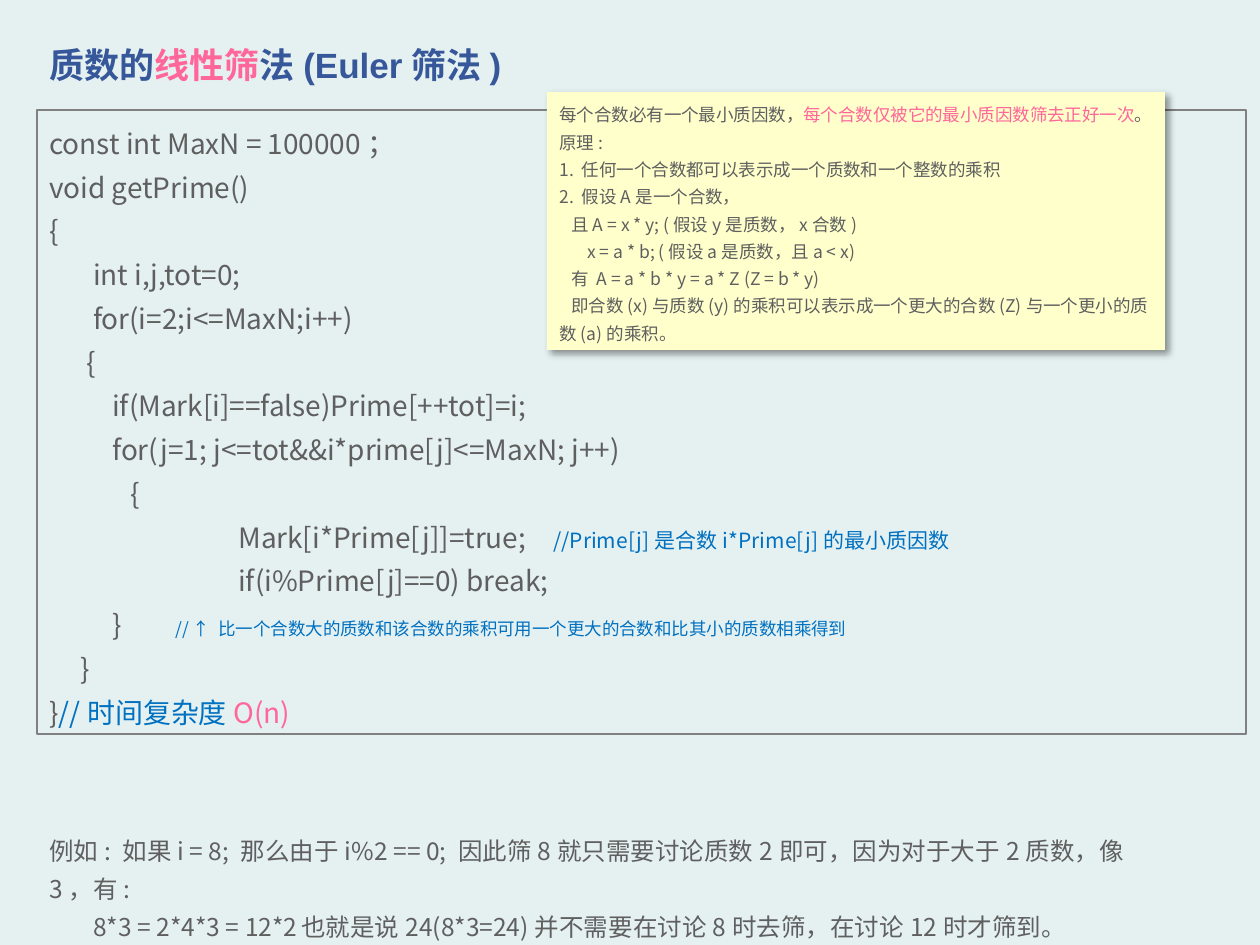
from lxml.etree import SubElement
from pptx import Presentation
from pptx.dml.color import RGBColor
from pptx.enum.shapes import MSO_SHAPE as Shape
from pptx.enum.text import MSO_ANCHOR as Anchor, PP_ALIGN as Align
from pptx.oxml.ns import qn
from pptx.util import Pt

EMU_PER_PX = 914400 / 126
NAVY, PINK, GRAY, BLUE = "365799", "FF6699", "5F5F5F", "0070C0"
CJK = "Noto Sans CJK SC"


def px(length):
    return round(length * EMU_PER_PX)


def color(value):
    return RGBColor.from_string(value)


class SlideBuilder:
    def __init__(self, presentation, background):
        self.slide = presentation.slides.add_slide(presentation.slide_layouts[6])
        self.slide.background.fill.solid()
        self.slide.background.fill.fore_color.rgb = color(background)

    def fill_text(self, shape, paragraphs, size, tint=GRAY, font=CJK, bold=False, tabs=()):
        frame = shape.text_frame
        for name, value in {"word_wrap": True, "vertical_anchor": Anchor.TOP}.items():
            setattr(frame, name, value)
        line_format = {"alignment": Align.LEFT, "line_spacing": Pt(round(size * 1.56, 1))}
        for number, (indent, runs) in enumerate(paragraphs):
            paragraph = frame.paragraphs[0] if number == 0 else frame.add_paragraph()
            properties = paragraph._p.get_or_add_pPr()
            properties.set("indent", str(px(indent)))
            if tabs:
                stops = SubElement(properties, qn("a:tabLst"))
                for position in tabs:
                    SubElement(stops, qn("a:tab"), pos=str(px(position)), algn="l")
            for name, value in line_format.items():
                setattr(paragraph, name, value)
            for text, *style in runs:
                run = paragraph.add_run()
                run.text = text
                run_tint, run_size = style + [tint, size][len(style):]
                run.font.color.rgb = color(run_tint)
                for name, value in {"name": font, "size": Pt(run_size), "bold": bold}.items():
                    setattr(run.font, name, value)
                SubElement(run.font._element, qn("a:ea"), typeface=CJK)

    def text(self, box, paragraphs, size, **style):
        shape = self.slide.shapes.add_textbox(*map(px, box))
        self.fill_text(shape, paragraphs, size, **style)

    def panel(self, box, paragraphs, size, fill=None, line=None, shadow=False, **style):
        shape = self.slide.shapes.add_shape(Shape.RECTANGLE, *map(px, box))
        shape.shadow.inherit = False
        if fill:
            shape.fill.solid()
            shape.fill.fore_color.rgb = color(fill)
        else:
            shape.fill.background()
        if line:
            shape.line.color.rgb = color(line)
            shape.line.width = Pt(0.75)
        else:
            shape.line.fill.background()
        if shadow:
            effects = shape._element.spPr.find(qn("a:effectLst"))
            outer = SubElement(effects, qn("a:outerShdw"), blurRad=str(Pt(4)),
                               dist=str(Pt(3)), dir="2700000", algn="tl", rotWithShape="0")
            black = SubElement(outer, qn("a:srgbClr"), val="000000")
            SubElement(black, qn("a:alpha"), val="40000")
        self.fill_text(shape, paragraphs, size, **style)


def main():
    presentation = Presentation()
    presentation.slide_width, presentation.slide_height = px(1260), px(945)
    builder = SlideBuilder(presentation, "E5F1F1")

    title = [("质数的",), ("线性筛", PINK), ("法(Euler筛法)",)]
    builder.text((37, 25, 975, 67), [(0, title)], 20, tint=NAVY, font="Arial", bold=True)

    code = [
        [("const int MaxN = 100000；",)],
        [("void getPrime()",)],
        [("{",)],
        [("       int i,j,tot=0;",)],
        [("       for(i=2;i<=MaxN;i++)",)],
        [("      {",)],
        [("\tif(Mark[i]==false)Prime[++tot]=i;",)],
        [("\tfor(j=1; j<=tot&&i*prime[j]<=MaxN; j++)",)],
        [("             {",)],
        [("\t\t\tMark[i*Prime[j]]=true;\t",),
         ("//Prime[j]是合数i*Prime[j]的最小质因数", BLUE, 12)],
        [("\t\t\tif(i%Prime[j]==0) break;",)],
        [("\t}\t",),
         ("// ↑ 比一个合数大的质数和该合数的乘积可用一个更大的合数和比其小的质数相乘得到", BLUE, 10)],
        [("     }",)],
        [("}",), ("//时间复杂度", BLUE), ("O(n)", PINK)],
    ]
    builder.panel((37, 110, 1209, 624), [(0, runs) for runs in code], 16,
                  line="808080", tabs=(126, 211, 252, 553))

    principle = [
        (0, [("每个合数必有一个最小质因数，",),
             ("每个合数仅被它的最小质因数筛去正好一次", PINK), ("。",)]),
        (0, [("原理:",)]),
        (0, [("1. 任何一个合数都可以表示成一个质数和一个整数的乘积",)]),
        (0, [("2. 假设A是一个合数，",)]),
        (12, [("且A = x * y; (假设y是质数，x合数)",)]),
        (28, [("x = a * b; (假设a是质数，且a < x)",)]),
        (12, [("有 A = a * b * y = a * Z (Z = b * y)",)]),
        (12, [("即合数(x)与质数(y)的乘积可以表示成一个更大的合数(Z)与一个更小的质数(a)的乘积。",)]),
    ]
    builder.panel((547, 92, 618, 258), principle, 10, fill="FFFFCC", shadow=True)

    example = [
        (0, [("例如: 如果i = 8; 那么由于i%2 == 0; 因此筛8就只需要讨论质数2即可，"
              "因为对于大于2质数，像3，有:",)]),
        (44, [("8*3 = 2*4*3 = 12*2\t也就是说24(8*3=24)并不需要在讨论8时去筛，在讨论12时才筛到。",)]),
    ]
    builder.text((37, 821, 1111, 89), example, 14, tabs=(271,))

    presentation.save("out.pptx")


if __name__ == "__main__":
    main()
